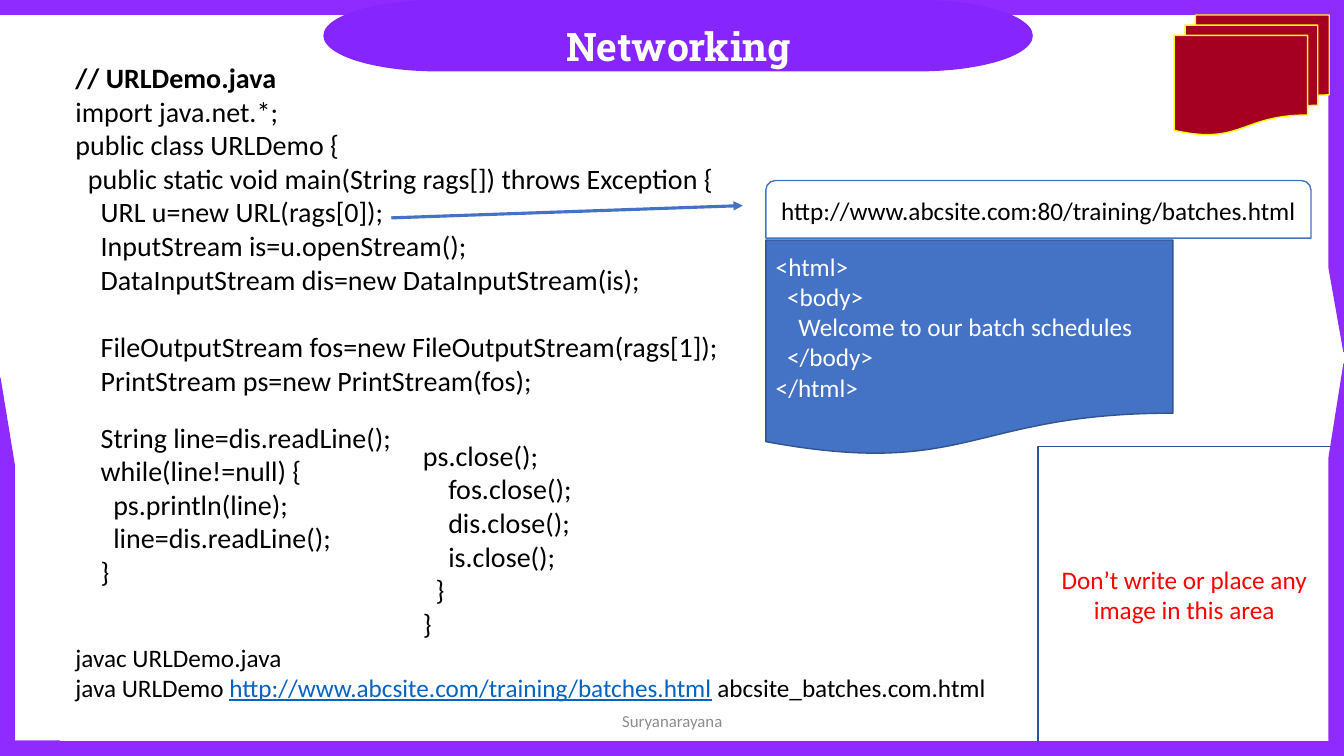
"""Build a slide on reading a web page with a Java URL program."""
from pptx import Presentation
from pptx.dml.color import RGBColor
from pptx.enum.shapes import MSO_CONNECTOR, MSO_SHAPE
from pptx.enum.text import MSO_ANCHOR, MSO_AUTO_SIZE, PP_ALIGN
from pptx.oxml.ns import qn
from pptx.util import Cm, Pt
from lxml import etree

LEFT, CENTER = PP_ALIGN.LEFT, PP_ALIGN.CENTER
TOP, MIDDLE = MSO_ANCHOR.TOP, MSO_ANCHOR.MIDDLE
RECTANGLE, HALF_FRAME = MSO_SHAPE.RECTANGLE, MSO_SHAPE.HALF_FRAME
TERMINATOR = MSO_SHAPE.FLOWCHART_TERMINATOR
MULTIDOCUMENT = MSO_SHAPE.FLOWCHART_MULTIDOCUMENT
DOCUMENT = MSO_SHAPE.FLOWCHART_DOCUMENT
ROUND_TOP = MSO_SHAPE.ROUND_2_SAME_RECTANGLE
STRAIGHT = MSO_CONNECTOR.STRAIGHT
NO_AUTOFIT = MSO_AUTO_SIZE.NONE

COLORS = {
    "frame": "902BFF", "banner": "8725FE", "white": "FFFFFF", "black": "000000",
    "crimson": "A50021", "yellow": "FFFF00", "red": "FF0000", "blue": "4472C4",
    "navy": "325491", "link": "0563C1", "gray": "8C8C8C",
}
WIDTH, HEIGHT = 33.87, 19.05
BAR = 0.36
FRAME_WIDTH = 1.57
MARGIN = 1.65
PANEL_LEFT = 19.3


def add_box(kind, left, top, width, height, fill, line=None):
    box = page.shapes.add_shape(kind, Cm(left), Cm(top), Cm(width), Cm(height))
    box.shadow.inherit = False
    box.fill.solid()
    box.fill.fore_color.rgb = RGBColor.from_string(COLORS[fill])
    if line:
        box.line.color.rgb = RGBColor.from_string(COLORS[line])
        box.line.width = Pt(1)
    else:
        box.line.fill.background()
    return box


def write(box, text, size=20, color="black", font="Calibri", bold=False,
          underline=False, align=LEFT, anchor=TOP, continued=False):
    frame = box.text_frame
    frame.word_wrap = True
    frame.auto_size = NO_AUTOFIT
    frame.vertical_anchor = anchor
    for line in text.split("\n"):
        para = frame.paragraphs[-1]
        if para.runs and not continued:
            para = frame.add_paragraph()
        para.alignment = align
        span = para.add_run()
        span.text = line
        span.font.name = font
        span.font.size = Pt(size)
        span.font.bold = bold
        span.font.underline = underline
        span.font.color.rgb = RGBColor.from_string(COLORS[color])


deck = Presentation()
deck.slide_width, deck.slide_height = Cm(WIDTH), Cm(HEIGHT)
page = deck.slides.add_slide(deck.slide_layouts[5])

reserved = add_box(RECTANGLE, 26.16, 11.25, 7.37, 7.44, "white", "navy")
write(reserved, "Don’t write or place any image in this area", size=18,
      color="red", align=CENTER, anchor=MIDDLE)

right = WIDTH - FRAME_WIDTH
for left, top, height, rotation, flipped, thickness, reach in [
    (right, 0, 8.86, 0, True, 0.228, 0.239),
    (0, 9.53, 9.52, 180, True, 0.239, 0.228),
    (right, 9.17, 9.88, 180, False, 0.228, 0.239),
]:
    corner = add_box(HALF_FRAME, left, top, FRAME_WIDTH, height, "frame", "frame")
    corner.adjustments[0] = thickness
    corner.adjustments[1] = reach
    corner.rotation = rotation
    if flipped:
        corner.element.spPr.find(qn("a:xfrm")).set("flipH", "1")

for top in (0, HEIGHT - BAR):
    add_box(RECTANGLE, 0, top, WIDTH, BAR, "frame", "frame")

add_box(TERMINATOR, 8.15, 0, 17.88, 1.8, "banner")
add_box(MULTIDOCUMENT, 29.59, 0.38, 3.91, 3.02, "crimson", "yellow")

title = page.shapes.title
title.left, title.top, title.width, title.height = Cm(8.43), Cm(0.43), Cm(17.32), Cm(1.45)
write(title, "Networking", size=28, color="white", font="Roboto Slab", bold=True, align=CENTER)
title.element.getparent().append(title.element)

SETUP_CODE = """import java.net.*;
public class URLDemo {
  public static void main(String rags[]) throws Exception {
    URL u=new URL(rags[0]);
    InputStream is=u.openStream();
    DataInputStream dis=new DataInputStream(is);
    FileOutputStream fos=new FileOutputStream(rags[1]);
    PrintStream ps=new PrintStream(fos);"""
LOOP_CODE = """    String line=dis.readLine();
    while(line!=null) {
      ps.println(line);
      line=dis.readLine();
    }"""
CLOSE_CODE = """ps.close();
    fos.close();
    dis.close();
    is.close();
  }
}"""
HTML_CODE = """<html>
  <body>
    Welcome to our batch schedules
  </body>
</html>"""

setup, loop, closing, commands, footer = [
    page.shapes.add_textbox(Cm(left), Cm(top), Cm(width), Cm(height))
    for left, top, width, height in [
        (MARGIN, 1.4, 17.04, 8.81),
        (MARGIN, 10.46, 8.56, 4.52),
        (10.41, 10.92, 6.2, 5.38),
        (MARGIN, 16.05, 23.77, 1.8),
        (11.23, 17.65, 11.43, 1.02),
    ]
]
write(setup, "// URLDemo.java", bold=True)
write(setup, SETUP_CODE)
setup.text_frame.paragraphs[7].space_before = Pt(24)
write(loop, LOOP_CODE)
write(closing, CLOSE_CODE)
write(commands, "javac URLDemo.java\njava URLDemo ", size=18)
write(commands, "http://www.abcsite.com/training/batches.html", size=18,
      color="link", underline=True, continued=True)
write(commands, " abcsite_batches.com.html", size=18, continued=True)
write(footer, "Suryanarayana", size=12, color="gray", align=CENTER, anchor=MIDDLE)

document = add_box(DOCUMENT, PANEL_LEFT, 6.05, 10.26, 5.44, "blue", "navy")
write(document, HTML_CODE, size=18, color="white", anchor=MIDDLE)
address = add_box(ROUND_TOP, PANEL_LEFT, 4.55, 13.74, 1.45, "white", "blue")
write(address, "http://www.abcsite.com:80/training/batches.html", size=18,
      align=CENTER, anchor=MIDDLE)

arrow = page.shapes.add_connector(STRAIGHT, Cm(9.86), Cm(5.49), Cm(18.72), Cm(5.18))
arrow.line.color.rgb = RGBColor.from_string(COLORS["blue"])
arrow.line.width = Pt(2.25)
etree.SubElement(arrow.line._get_or_add_ln(), qn("a:tailEnd")).set("type", "triangle")
etree.SubElement(arrow.element.spPr, qn("a:effectLst"))

deck.save("out.pptx")
